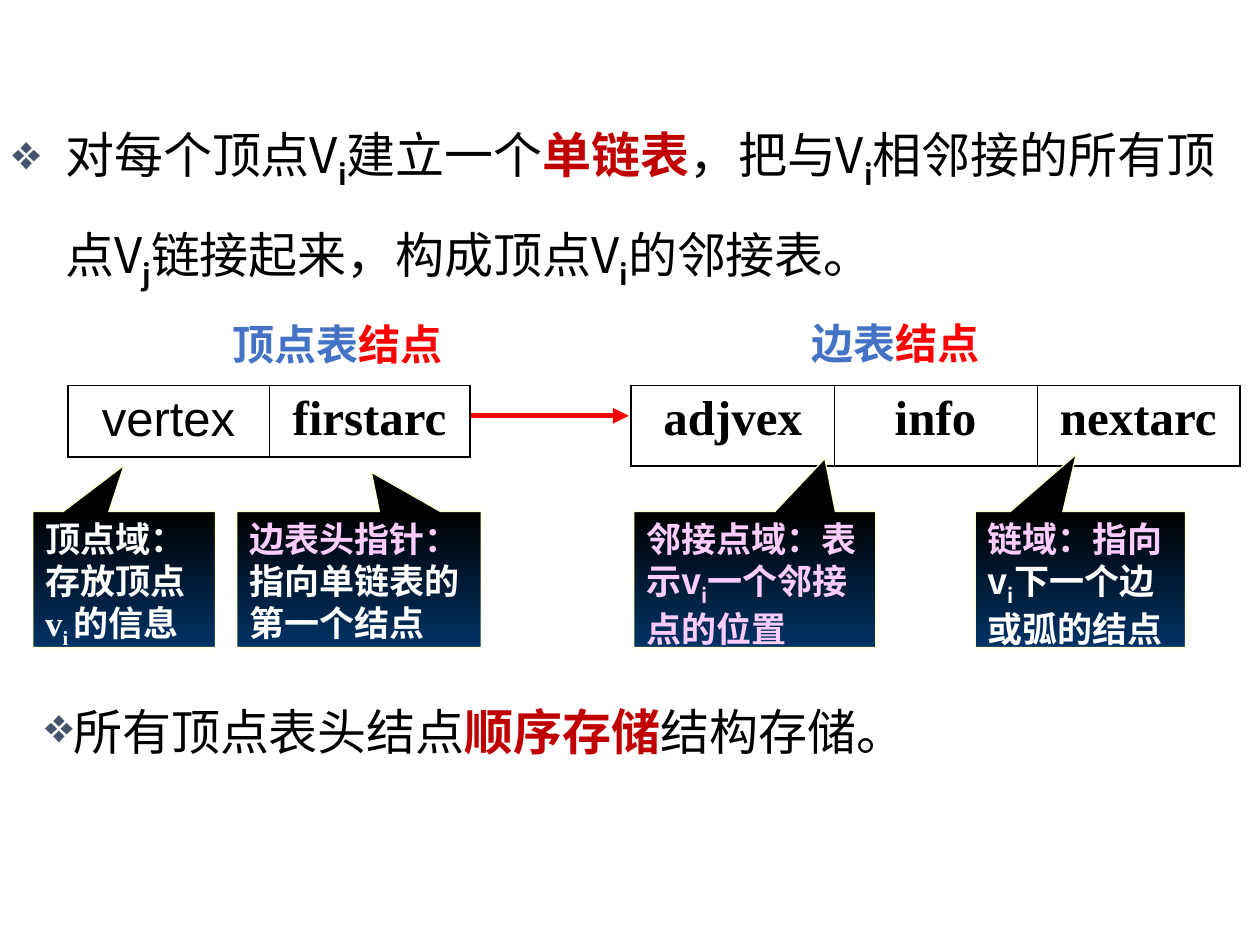
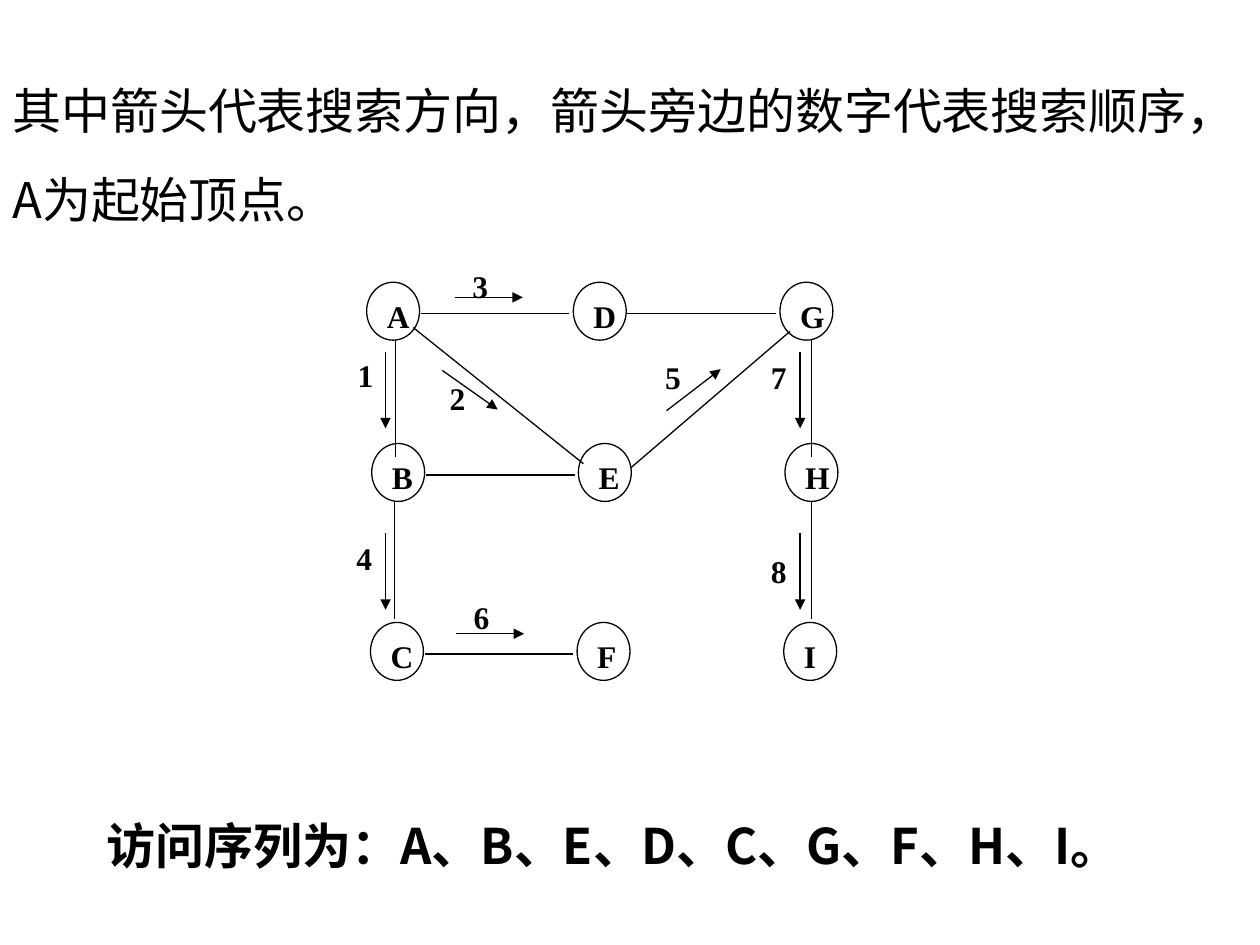
"""Build two slides on adjacency lists and breadth-first graph search."""
from lxml import etree
from pptx import Presentation
from pptx.dml.color import RGBColor
from pptx.enum.shapes import MSO_CONNECTOR, MSO_SHAPE
from pptx.enum.text import MSO_ANCHOR, MSO_AUTO_SIZE, PP_ALIGN
from pptx.oxml.ns import qn
from pptx.util import Inches, Pt

STRAIGHT = MSO_CONNECTOR.STRAIGHT
CALLOUT = MSO_SHAPE.RECTANGULAR_CALLOUT
OVAL = MSO_SHAPE.OVAL
TOP = MSO_ANCHOR.TOP
GROW = MSO_AUTO_SIZE.SHAPE_TO_FIT_TEXT
LEFT, CENTER, JUSTIFY = PP_ALIGN.LEFT, PP_ALIGN.CENTER, PP_ALIGN.JUSTIFY

SANS, SERIF, ARIAL = "Noto Sans CJK SC", "Times New Roman", "Arial"
BLACK, WHITE, RED, DARK_RED = "000000", "FFFFFF", "FF0000", "C00000"
BLUE, PINK, NAVY, CREAM, SLATE = "4472C4", "FFCCFF", "003366", "FFFFCC", "44546A"


def words(text, color=BLACK, bold=False, sub=False, font=SANS):
    return text, color, bold, sub, font


def strong(text, color=BLACK, font=SANS):
    return words(text, color, True, font=font)


def subscript(text, color=BLACK, font=SANS):
    return words(text, color, True, True, font)


LIST_RULE = [
    words("对每个顶点V"), subscript("i"), words("建立一个"), strong("单链表", DARK_RED),
    words("，把与V"), subscript("i"), words("相邻接的所有顶点V"), subscript("j"),
    words("链接起来，构成顶点V"), subscript("i"), words("的邻接表。"),
]
STORAGE_RULE = [words("所有顶点表头结点"), strong("顺序存储", DARK_RED), words("结构存储。")]

NODE_TITLES = [("顶点表", (1.75, 2.48, 2.17, 0.5)), ("边表", (6.34, 2.47, 1.75, 0.5))]
NODE_TABLES = [
    ((0.54, 3.06, 3.19, 0.57), [words("vertex", font=ARIAL), strong("firstarc", font=SERIF)]),
    ((5.01, 3.06, 4.83, 0.64),
     [strong(name, font=SERIF) for name in ("adjvex", "info", "nextarc")]),
]
POINTER = (3.74, 3.3), (4.99, 3.3)

CALLOUT_TOP, CALLOUT_HEIGHT = 4.06, 1.08
CALLOUTS = [
    (0.26, 1.45, (0, -0.84),
     [strong("顶点域：存放顶点v", WHITE, SERIF), subscript("i ", WHITE, SERIF),
      strong("的信息", WHITE, SERIF)]),
    (1.88, 1.94, (0.05, -0.79),
     [strong("边表头指针：", PINK, SERIF), strong("指向单链表的第一个结点", WHITE)]),
    (5.03, 1.92, (0.29, -0.89),
     [strong("邻接点域：", PINK, SERIF), strong("表示v", PINK), subscript("i", PINK),
      strong("一个邻接点的位置", PINK)]),
    (7.74, 1.67, (-0.02, -0.92),
     [strong("链域：", PINK, SERIF), strong("指向", PINK), strong("v", WHITE),
      subscript("i", WHITE), strong("下一个边或弧的结点", WHITE)]),
]

SEARCH_INTRO = "其中箭头代表搜索方向，箭头旁边的数字代表搜索顺序，A为起始顶点。"
VISIT_ORDER = "访问序列为：A、B、E、D、C、G、F、H、I。"
NODE_SIZE = 0.42, 0.46
COLUMN_STEP = 1.64
NODE_ROWS = [("ADG", 2.91, 2.24), ("BEH", 2.95, 3.52), ("CFI", 2.94, 4.94)]
ACROSS = ["AD", "DG", "BE", "CF"]
DOWN = [("A", 3.14), ("B", 3.13), ("G", 6.44), ("H", 6.44)]
DIAGONALS = [((5.01, 3.71), (6.27, 2.63)), ((3.28, 2.6), (4.63, 3.68))]
SEARCH_STEPS = [
    ("1", (2.74, 2.78), (3.06, 2.79), (0, 0.61)),
    ("2", (3.47, 2.96), (3.51, 2.94), (0.44, 0.31)),
    ("3", (3.65, 2.07), (3.61, 2.36), (0.54, 0)),
    ("4", (2.73, 4.23), (3.06, 4.23), (0, 0.61)),
    ("5", (5.18, 2.79), (5.29, 3.26), (0.43, -0.33)),
    ("6", (3.66, 4.7), (3.62, 5.03), (0.54, 0)),
    ("7", (6.02, 2.79), (6.35, 2.79), (0, 0.61)),
    ("8", (6.02, 4.33), (6.35, 4.23), (0, 0.61)),
]


def rgb(value):
    return RGBColor.from_string(value)


def inches(values):
    return [Inches(value) for value in values]


def write(frame, runs, size, align=LEFT, spacing=None, before=None):
    frame.word_wrap = True
    frame.vertical_anchor = TOP
    paragraph = frame.paragraphs[0]
    paragraph.alignment = align
    if spacing:
        paragraph.line_spacing = spacing
    if before:
        paragraph.space_before = Pt(before)
    for text, color, bold, sub, name in runs:
        run = paragraph.add_run()
        run.text = text
        font = run.font
        font.size, font.bold, font.name = Pt(size), bold, name
        font.color.rgb = rgb(color)
        properties = run._r.get_or_add_rPr()
        etree.SubElement(properties, qn("a:ea"), typeface=SANS)
        if sub:
            properties.set("baseline", "-25000")
    return paragraph


def add_text(shapes, box, runs, size, grow=True, **style):
    frame = shapes.add_textbox(*inches(box)).text_frame
    paragraph = write(frame, runs, size, **style)
    if grow:
        frame.auto_size = GROW
    return paragraph


def add_bullet(paragraph, hanging=0):
    properties = paragraph._p.get_or_add_pPr()
    properties.set("marL", str(Inches(hanging)))
    properties.set("indent", str(-Inches(hanging)))
    color = etree.SubElement(properties, qn("a:buClr"))
    etree.SubElement(color, qn("a:srgbClr"), val=SLATE)
    etree.SubElement(properties, qn("a:buChar"), char="❖")


def add_line(shapes, start, end, color=BLACK, width=0.75, arrow=False):
    connector = shapes.add_connector(STRAIGHT, *inches(start + end))
    connector.line.color.rgb = rgb(color)
    connector.line.width = Pt(width)
    properties = connector.element.spPr
    if arrow:
        etree.SubElement(properties.find(qn("a:ln")), qn("a:tailEnd"), type="triangle")
    etree.SubElement(properties, qn("a:effectLst"))


def add_shape(shapes, kind, box, line):
    shape = shapes.add_shape(kind, *inches(box))
    shape.shadow.inherit = False
    shape.line.color.rgb = rgb(line)
    shape.line.width = Pt(0.75)
    return shape


def set_borders(cell, widths):
    properties = cell._tc.get_or_add_tcPr()
    for index, (side, width) in enumerate(widths.items()):
        border = etree.Element(qn(f"a:ln{side}"), w=str(Pt(width)))
        fill = etree.SubElement(border, qn("a:solidFill"))
        etree.SubElement(fill, qn("a:srgbClr"), val=BLACK)
        properties.insert(index, border)


def add_node_table(shapes, box, fields):
    table = shapes.add_table(1, len(fields), *inches(box)).table
    table.first_row = table.horz_banding = False
    last = len(fields) - 1
    for index, field in enumerate(fields):
        table.columns[index].width = Inches(box[2] / len(fields))
        cell = table.cell(0, index)
        cell.fill.background()
        set_borders(cell, {"L": 0.45 if index else 1.08,
                           "R": 0.45 if index < last else 1.08, "T": 1.08, "B": 1.08})
        write(cell.text_frame, [field], 28, CENTER, before=7)


def add_callout(shapes, left, width, tip, runs):
    box = left, CALLOUT_TOP, width, CALLOUT_HEIGHT
    shape = add_shape(shapes, CALLOUT, box, CREAM)
    shape.adjustments[0], shape.adjustments[1] = tip
    shape.fill.gradient()
    shape.fill.gradient_angle = 270
    for stop, color in zip(shape.fill.gradient_stops, (BLACK, NAVY)):
        stop.color.rgb = rgb(color)
    write(shape.text_frame, runs, 20)


def build_list_slide(slide):
    shapes = slide.shapes
    add_bullet(add_text(shapes, (0, 0.67, 9.84, 1.7), LIST_RULE, 28, spacing=1.5), 0.42)
    for title, box in NODE_TITLES:
        add_text(shapes, box, [strong(title, BLUE), strong("结点", RED)], 24)
    for box, fields in NODE_TABLES:
        add_node_table(shapes, box, fields)
    for callout in CALLOUTS:
        add_callout(shapes, *callout)
    add_line(shapes, *POINTER, RED, 3, arrow=True)
    add_bullet(add_text(shapes, (0.26, 5.52, 9.08, 0.57), STORAGE_RULE, 28))


def build_graph(shapes):
    width, height = NODE_SIZE
    corners = {}
    for names, left, top in NODE_ROWS:
        for column, name in enumerate(names):
            corners[name] = left + column * COLUMN_STEP, top
            node = add_shape(shapes, OVAL, corners[name] + NODE_SIZE, BLACK)
            node.fill.solid()
            node.fill.fore_color.rgb = rgb(WHITE)
            write(node.text_frame, [strong(name, font=SERIF)], 18, JUSTIFY)
    for first, second in ACROSS:
        left, top = corners[first]
        y = top + 0.25
        add_line(shapes, (left + width + 0.01, y), (corners[second][0] - 0.03, y))
    for name, x in DOWN:
        y = corners[name][1] + height
        add_line(shapes, (x, y), (x, y + 0.93))
    for start, end in DIAGONALS:
        add_line(shapes, start, end)
    for number, corner, start, reach in SEARCH_STEPS:
        end = start[0] + reach[0], start[1] + reach[1]
        add_line(shapes, start, end, arrow=True)
        add_text(shapes, corner + NODE_SIZE, [strong(number, font=SERIF)], 18,
                 grow=False, align=JUSTIFY)


def build_search_slide(slide):
    shapes = slide.shapes
    add_text(shapes, (0, 0.36, 10, 1.5), [words(SEARCH_INTRO)], 28, spacing=1.5)
    build_graph(shapes.add_group_shape().shapes)
    add_text(shapes, (0.75, 6.42, 8.83, 1.04), [strong(VISIT_ORDER)], 28, before=17.5)


def main():
    presentation = Presentation()
    presentation.slide_width, presentation.slide_height = inches((10, 7.5))
    blank = presentation.slide_layouts[6]
    for build in (build_list_slide, build_search_slide):
        build(presentation.slides.add_slide(blank))
    presentation.save("out.pptx")


if __name__ == "__main__":
    main()
